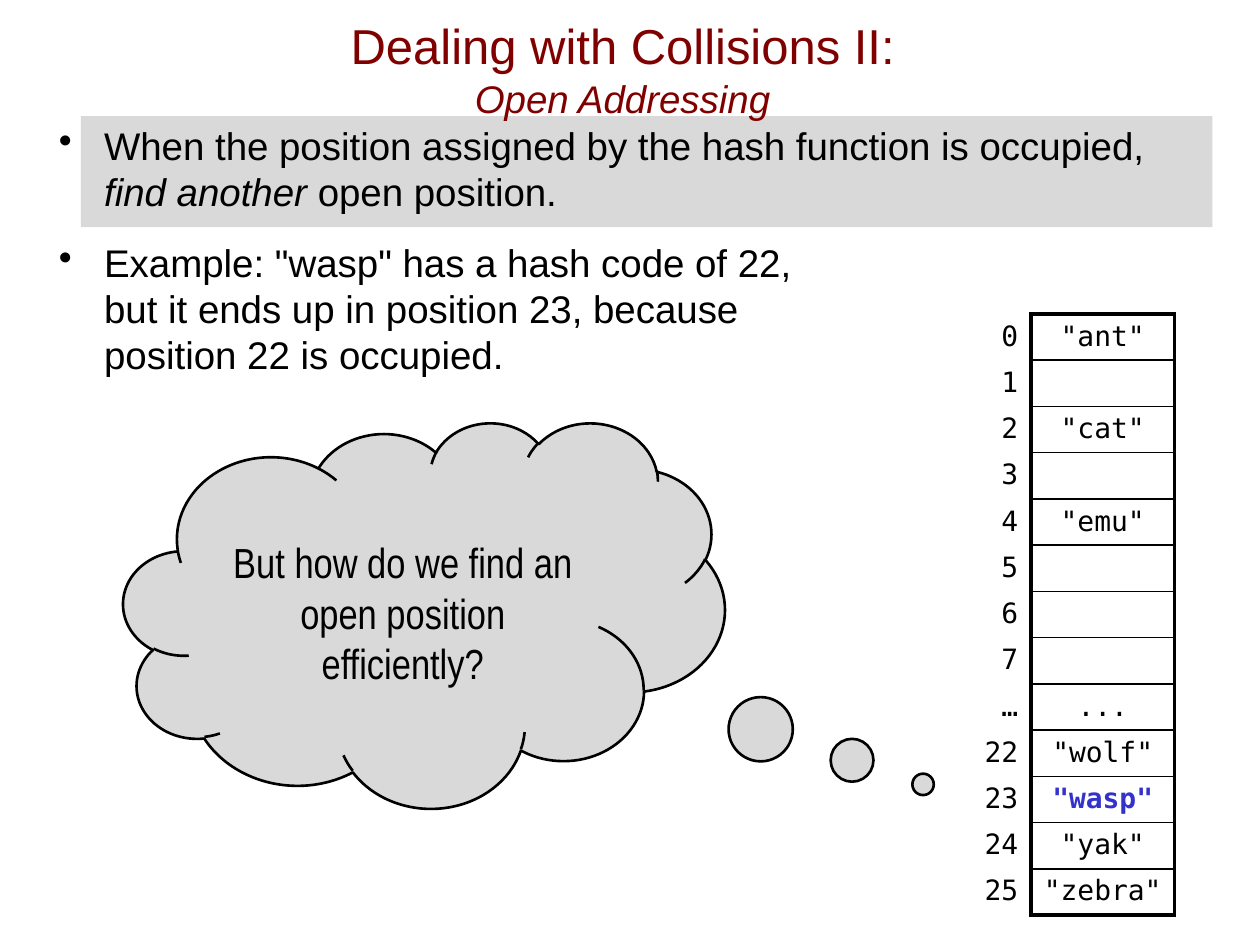
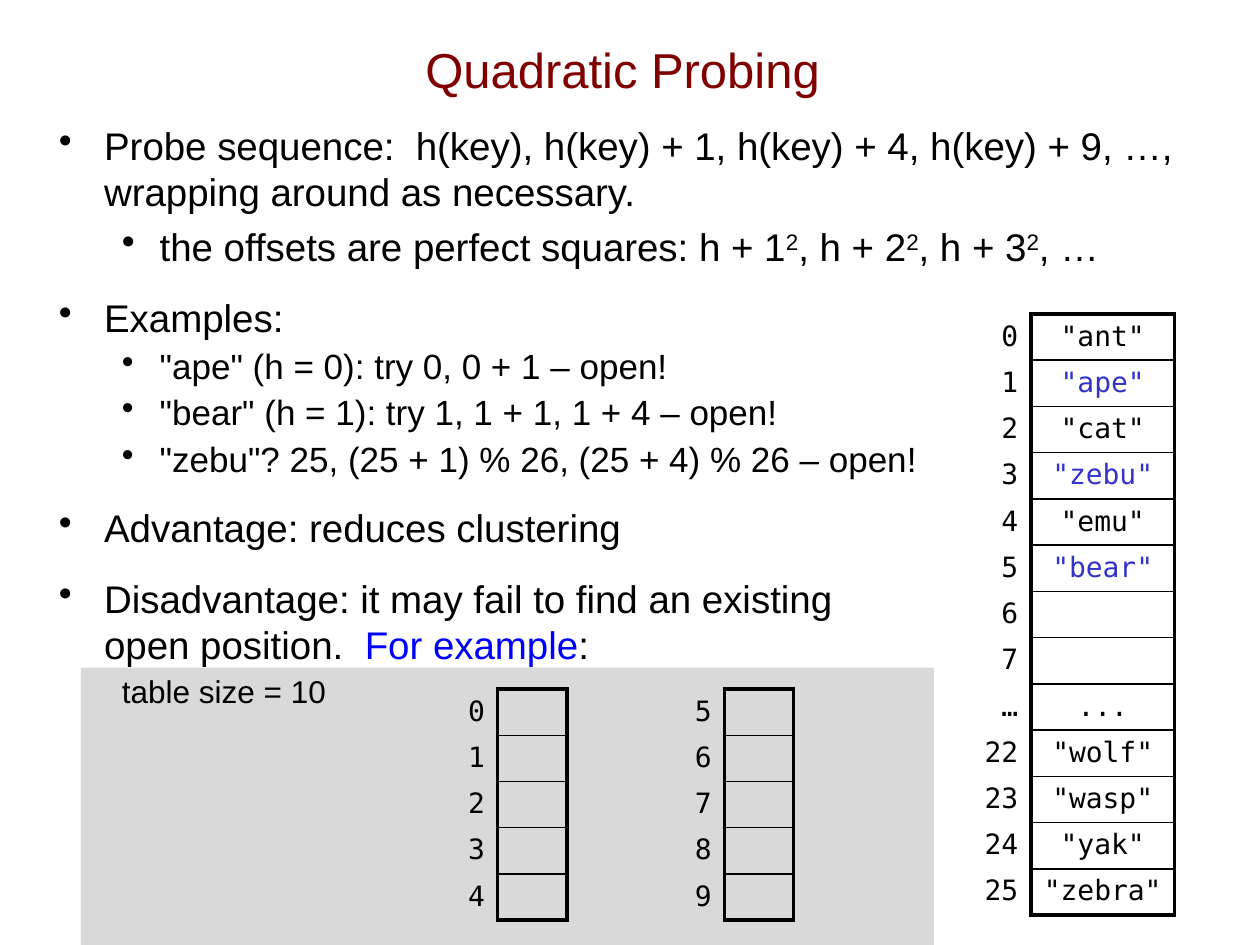
from lxml.etree import SubElement
from pptx import Presentation
from pptx.dml.color import RGBColor
from pptx.enum.shapes import MSO_SHAPE
from pptx.enum.text import MSO_ANCHOR, MSO_AUTO_SIZE, PP_ALIGN
from pptx.oxml import parse_xml
from pptx.oxml.ns import nsdecls, qn
from pptx.util import Cm, Pt

COLOURS = {
    "title": "800000",
    "text": "000000",
    "band": "D9D9D9",
    "entry": "3333CC",
    "example": "0000FF",
}
BODY_FONT = "Arial"
CALLOUT_FONT = "Arial Narrow"
TABLE_FONT = "DejaVu Sans Mono"
NO_TABLE_STYLE = "{2D5ABB26-0587-4C30-8999-92F81FD0307C}"
TITLE_ONLY = 5
THICK, THIN = 2.25, 1

# Per level: left margin and hanging indent in cm, space before in points
LEVELS = [(0.91, -0.91, 14), (2.03, -0.76, 5)]

HASH_POSITIONS = ["0", "1", "2", "3", "4", "5", "6", "7", "…", "22", "23", "24", "25"]
ENTRIES = {
    "0": "\"ant\"",
    "2": "\"cat\"",
    "4": "\"emu\"",
    "…": "...",
    "22": "\"wolf\"",
    "23": "\"wasp\"",
    "24": "\"yak\"",
    "25": "\"zebra\"",
}


def colour(name):
    return RGBColor.from_string(COLOURS[name])


class Deck:
    def __init__(self):
        self.presentation = Presentation()
        self.presentation.slide_width = Cm(25.4)
        self.presentation.slide_height = Cm(19.05)
        self.slide = None

    def add_slide(self, title_runs):
        layout = self.presentation.slide_layouts[TITLE_ONLY]
        self.slide = self.presentation.slides.add_slide(layout)
        title = self.slide.shapes.title
        title.left, title.top, title.width, title.height = Cm(1.63), Cm(0.2), Cm(21.84), Cm(2.36)
        frame = title.text_frame
        frame.auto_size = MSO_AUTO_SIZE.NONE
        frame.vertical_anchor = MSO_ANCHOR.MIDDLE
        paragraph = frame.paragraphs[0]
        paragraph.alignment = PP_ALIGN.CENTER
        for text, style in title_runs:
            self.add_text(paragraph, text, **{"size": 28, "tint": "title", **style})

    def add_text(self, paragraph, text, size=22, tint="text", font=BODY_FONT,
                 bold=False, italic=False, raised=False):
        """Add runs to a paragraph, with a line break at each newline."""
        for number, line in enumerate(text.split("\n")):
            if number:
                paragraph.add_line_break()
            if not line:
                continue
            run = paragraph.add_run()
            run.text = line
            run.font.name = font
            run.font.size = Pt(size)
            run.font.bold = bold
            run.font.italic = italic
            run.font.color.rgb = colour(tint)
            if raised:
                run.font._element.set("baseline", "30000")

    def add_shape(self, kind, left, top, width, height):
        shape = self.slide.shapes.add_shape(kind, Cm(left), Cm(top), Cm(width), Cm(height))
        shape.shadow.inherit = False
        shape.fill.solid()
        shape.fill.fore_color.rgb = colour("band")
        return shape

    def add_band(self, left, top, width, height):
        """Add a plain grey band behind everything else on the slide."""
        band = self.add_shape(MSO_SHAPE.RECTANGLE, left, top, width, height)
        band.line.fill.background()
        self.slide.shapes._spTree.insert(2, band._element)

    def add_thought(self, text, left, top, width, height, tail):
        cloud = self.add_shape(MSO_SHAPE.CLOUD_CALLOUT, left, top, width, height)
        cloud.line.color.rgb = colour("text")
        cloud.line.width = Pt(1.5)
        cloud.adjustments[0], cloud.adjustments[1] = tail
        frame = cloud.text_frame
        frame.word_wrap = True
        frame.vertical_anchor = MSO_ANCHOR.TOP
        frame.margin_top = Cm(1.14)
        paragraph = frame.paragraphs[0]
        paragraph.alignment = PP_ALIGN.CENTER
        self.add_text(paragraph, text, size=24, font=CALLOUT_FONT)

    def add_body(self, items):
        """Add the text; an item is (level, runs, paragraph options)."""
        box = self.slide.shapes.add_textbox(Cm(0.94), Cm(2.34), Cm(23.5), Cm(15.6))
        frame = box.text_frame
        frame.word_wrap = True
        for number, (level, runs, options) in enumerate(items):
            paragraph = frame.add_paragraph() if number else frame.paragraphs[0]
            margin, indent, space = LEVELS[level]
            paragraph.level = level
            properties = paragraph._p.get_or_add_pPr()
            properties.set("marL", str(Cm(margin)))
            properties.set("indent", str(Cm(indent)))
            if options.get("bullet", True):
                SubElement(properties, qn("a:buChar"), char="•")
            paragraph.space_before = Pt(space if number else 0)
            if "spacing" in options:
                paragraph.line_spacing = options["spacing"]
            for text, style in runs:
                self.add_text(paragraph, text, **style)

    def set_borders(self, cell, **widths):
        properties = cell._tc.get_or_add_tcPr()
        sides = [side for side in "LRTB" if side in widths]
        for position, side in enumerate(sides):
            properties.insert(position, parse_xml(
                f'<a:ln{side} {nsdecls("a")} w="{Pt(widths[side])}"><a:solidFill>'
                f'<a:srgbClr val="{COLOURS["text"]}"/></a:solidFill></a:ln{side}>'))

    def fill_cell(self, cell, text, alignment, **style):
        cell.fill.background()
        paragraph = cell.text_frame.paragraphs[0]
        paragraph.alignment = alignment
        if text:
            self.add_text(paragraph, text, size=16, font=TABLE_FONT, **style)
        else:
            SubElement(paragraph._p, qn("a:endParaRPr"), sz="1600")

    def add_array(self, left, top, widths, row_height, positions, entries=None, styles=None):
        """Add a column of boxed entries with their positions at its left."""
        entries, styles = entries or {}, styles or {}
        count = len(positions)
        frame = self.slide.shapes.add_table(
            count, len(widths), Cm(left), Cm(top), Cm(sum(widths)), Cm(row_height * count))
        table = frame.table
        table.first_row = table.horz_banding = False
        table._tbl.tblPr.find(qn("a:tableStyleId")).text = NO_TABLE_STYLE
        for column, width in zip(table.columns, widths):
            column.width = Cm(width)
        for number, position in enumerate(positions):
            table.rows[number].height = Cm(row_height)
            label, entry, *spare = table.rows[number].cells
            self.fill_cell(label, position, PP_ALIGN.RIGHT)
            self.set_borders(label, R=THICK)
            self.fill_cell(entry, entries.get(position), PP_ALIGN.CENTER,
                           **styles.get(position, {}))
            self.set_borders(entry, L=THICK, R=THICK,
                             T=THIN if number else THICK,
                             B=THIN if number < count - 1 else THICK)
            for cell in spare:
                self.fill_cell(cell, "", PP_ALIGN.LEFT)
                self.set_borders(cell, L=THICK)

    def add_hash_table(self, entries, styles):
        self.add_array(17.86, 6.33, [2.92, 2.9], 0.93, HASH_POSITIONS, entries, styles)


def add_open_addressing(deck):
    deck.add_slide([("Dealing with Collisions II:\n", {}),
                    ("Open Addressing", {"size": 22, "italic": True})])
    deck.add_band(1.63, 2.34, 22.81, 2.24)
    deck.add_body([
        (0, [("When the position assigned by the hash function is occupied, ", {}),
             ("find another ", {"italic": True}),
             ("open position.", {})], {}),
        (0, [("Example: \"wasp\" has a hash code of 22, \nbut it ends up in position 23, "
              "because \nposition 22 is occupied.", {})], {}),
    ])
    deck.add_hash_table(ENTRIES, {"23": {"tint": "entry", "bold": True}})
    deck.add_thought("But how do we find an open position efficiently?",
                     2.49, 8.51, 12.12, 7.77, tail=(0.83, 0.44))


def add_quadratic_probing(deck):
    deck.add_slide([("Quadratic Probing", {})])
    deck.add_band(1.63, 13.46, 17.2, 5.59)
    squares = [("the offsets are perfect squares: h + 1", {})]
    for following in (", h + 2", ", h + 3", ", …"):
        squares += [("2", {"raised": True}), (following, {})]
    examples = ["\"ape\" (h = 0): try 0, 0 + 1 – open!",
                "\"bear\" (h = 1): try 1, 1 + 1, 1 + 4 – open!",
                "\"zebu\"? 25, (25 + 1) % 26, (25 + 4) % 26 – open!"]
    deck.add_body([
        (0, [("Probe sequence:  h(key), h(key) + 1, h(key) + 4, h(key) + 9, …, \n"
              "wrapping around as necessary.", {})], {}),
        (1, squares, {}),
        (0, [("Examples:", {})], {}),
        *[(1, [(example, {"size": 20})], {"spacing": 0.9}) for example in examples],
        (0, [("Advantage: reduces clustering", {})], {}),
        (0, [("Disadvantage: it may fail to find an existing \nopen position.  ", {}),
             ("For example", {"tint": "example"}),
             (":", {})], {}),
        (1, [("table size = 10", {"size": 18})], {"spacing": 0.9, "bullet": False}),
    ])
    for half in range(2):
        positions = [str(5 * half + offset) for offset in range(5)]
        deck.add_array(6.3 + 4.57 * half, 13.89, [3.73, 1.4, 2.34], 0.91, positions)
    probed = {"1": "\"ape\"", "3": "\"zebu\"", "5": "\"bear\""}
    deck.add_hash_table({**ENTRIES, **probed},
                        {position: {"tint": "entry"} for position in probed})


def main():
    deck = Deck()
    add_open_addressing(deck)
    add_quadratic_probing(deck)
    deck.presentation.save("out.pptx")


if __name__ == "__main__":
    main()
